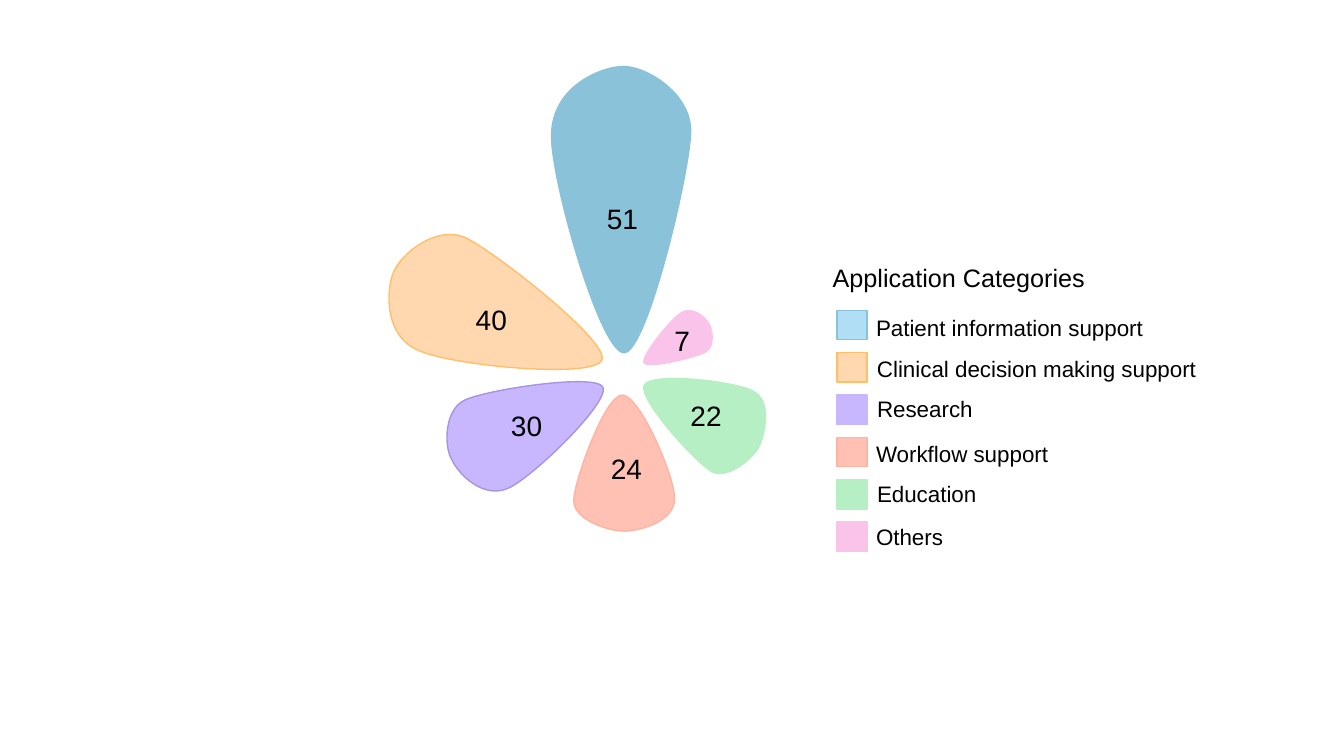
import pptx
import pptx.util
import pptx.dml.color
import pptx.enum.shapes
import pptx.enum.text
import pptx.oxml.ns
import pptx.oxml.xmlchemy

COLORS = {
    "text": "000000",
    "blue": "89C2D9", "light_blue": "B0DEF4",
    "orange": "FFD8B0", "orange_edge": "FFBF69",
    "violet": "C8B6FF", "violet_edge": "A695DD",
    "coral": "FFC1B3", "coral_edge": "FFB4A2",
    "green": "B7EFC5", "pink": "F9C3EA",
}

TITLE = "Application Categories"

CATEGORIES = [
    {"name": "Patient information support", "count": 51,
     "petal": ("blue", "blue"), "swatch": ("light_blue", "blue"),
     "count_at": (5.92, 1.95), "label_at": (8.59, 3.07), "label_width": 3.89,
     "curve": [(5.47, 1.35), (5.47, 0.87), (5.94, 0.67), (6.17, 0.66),
               (6.4, 0.65), (6.85, 0.92), (6.85, 1.3),
               (6.85, 1.68), (6.42, 3.5), (6.19, 3.5),
               (5.96, 3.51), (5.47, 1.82), (5.47, 1.35)]},
    {"name": "Clinical decision making support", "count": 40,
     "petal": ("orange", "orange_edge"), "swatch": ("orange", "orange_edge"),
     "count_at": (4.62, 2.95), "label_at": (8.6, 3.47), "label_width": 3.84,
     "curve": [(4.16, 3.48), (3.81, 3.34), (3.83, 2.89), (3.9, 2.71),
               (3.97, 2.52), (4.32, 2.24), (4.6, 2.35),
               (4.88, 2.47), (6.05, 3.39), (5.97, 3.57),
               (5.9, 3.76), (4.5, 3.63), (4.16, 3.48)]},
    {"name": "Research", "count": 30,
     "petal": ("violet", "violet_edge"), "swatch": ("violet", "violet"),
     "count_at": (4.97, 4), "label_at": (8.6, 3.87), "label_width": 2.89,
     "curve": [(5.05, 4.84), (4.8, 4.96), (4.55, 4.71), (4.48, 4.56),
               (4.4, 4.42), (4.41, 4.06), (4.61, 3.97),
               (4.81, 3.87), (5.9, 3.7), (5.98, 3.84),
               (6.05, 3.99), (5.3, 4.72), (5.05, 4.84)]},
    {"name": "Workflow support", "count": 24,
     "petal": ("coral", "coral_edge"), "swatch": ("coral", "coral_edge"),
     "count_at": (5.96, 4.43), "label_at": (8.59, 4.32), "label_width": 2.89,
     "curve": [(6.69, 4.94), (6.7, 5.17), (6.35, 5.27), (6.19, 5.27),
               (6.02, 5.27), (5.69, 5.15), (5.69, 4.97),
               (5.69, 4.78), (6, 3.92), (6.17, 3.92),
               (6.34, 3.91), (6.69, 4.72), (6.69, 4.94)]},
    {"name": "Education", "count": 22,
     "petal": ("green", "green"), "swatch": ("green", "green"),
     "count_at": (6.75, 3.9), "label_at": (8.6, 4.71), "label_width": 2.89,
     "curve": [(7.47, 3.88), (7.66, 3.98), (7.59, 4.29), (7.53, 4.43),
               (7.46, 4.56), (7.21, 4.76), (7.06, 4.68),
               (6.9, 4.59), (6.32, 3.95), (6.39, 3.82),
               (6.46, 3.69), (7.28, 3.78), (7.47, 3.88)]},
    {"name": "Others", "count": 7,
     "petal": ("pink", "pink"), "swatch": ("pink", "pink"),
     "count_at": (6.59, 3.16), "label_at": (8.59, 5.14), "label_width": 2.89,
     "curve": [(6.76, 3.1), (6.87, 3.04), (6.99, 3.14), (7.03, 3.21),
               (7.07, 3.27), (7.09, 3.44), (7, 3.49),
               (6.92, 3.54), (6.43, 3.66), (6.39, 3.6),
               (6.35, 3.54), (6.65, 3.17), (6.76, 3.1)]},
]

SWATCH_LEFT, SWATCH_TOP, SWATCH_PITCH = 8.3, 3.08, 0.42
SWATCH_SIZE = (0.3, 0.29)

Inches = pptx.util.Inches
qn = pptx.oxml.ns.qn


def rgb(name):
    return pptx.dml.color.RGBColor.from_string(COLORS[name])


def paint(s, fill, edge):
    s.shadow.inherit = False
    s.fill.solid()
    s.fill.fore_color.rgb = rgb(fill)
    s.line.color.rgb = rgb(edge)
    s.line.width = pptx.util.Pt(1)


def add_petal(shapes, curve, colors):
    points = [(Inches(x), Inches(y)) for x, y in curve]
    builder = shapes.build_freeform(*points[0])
    builder.add_line_segments(points[1:], close=True)
    s = builder.convert_to_shape()
    segments = s._element.findall(".//" + qn("a:lnTo"))
    for i in range(0, len(segments), 3):
        bezier = pptx.oxml.xmlchemy.OxmlElement("a:cubicBezTo")
        segments[i].addprevious(bezier)
        for segment in segments[i:i + 3]:
            bezier.append(segment[0])
            segment.getparent().remove(segment)
    paint(s, *colors)


def add_text(shapes, text, at, size, points):
    tf = shapes.add_textbox(*map(Inches, at + size)).text_frame
    tf.word_wrap = True
    tf.auto_size = pptx.enum.text.MSO_AUTO_SIZE.SHAPE_TO_FIT_TEXT
    r = tf.paragraphs[0].add_run()
    r.text = text
    r.font.color.rgb = rgb("text")
    for key, value in {"name": "Arial", "size": pptx.util.Pt(points)}.items():
        setattr(r.font, key, value)


def main():
    prs = pptx.Presentation()
    prs.slide_width, prs.slide_height = Inches(13.33), Inches(7.5)
    shapes = prs.slides.add_slide(prs.slide_layouts[6]).shapes

    add_text(shapes, TITLE, (8.16, 2.55), (2.89, 0.4), 18)
    for i, c in enumerate(CATEGORIES):
        add_petal(shapes, c["curve"], c["petal"])
        add_text(shapes, str(c["count"]), c["count_at"], (0.7, 0.44), 20)
        at = (SWATCH_LEFT, SWATCH_TOP + i * SWATCH_PITCH)
        s = shapes.add_shape(pptx.enum.shapes.MSO_SHAPE.RECTANGLE,
                             *map(Inches, at + SWATCH_SIZE))
        paint(s, *c["swatch"])
        add_text(shapes, c["name"], c["label_at"], (c["label_width"], 0.37), 16)

    prs.save("out.pptx")


if __name__ == "__main__":
    main()
